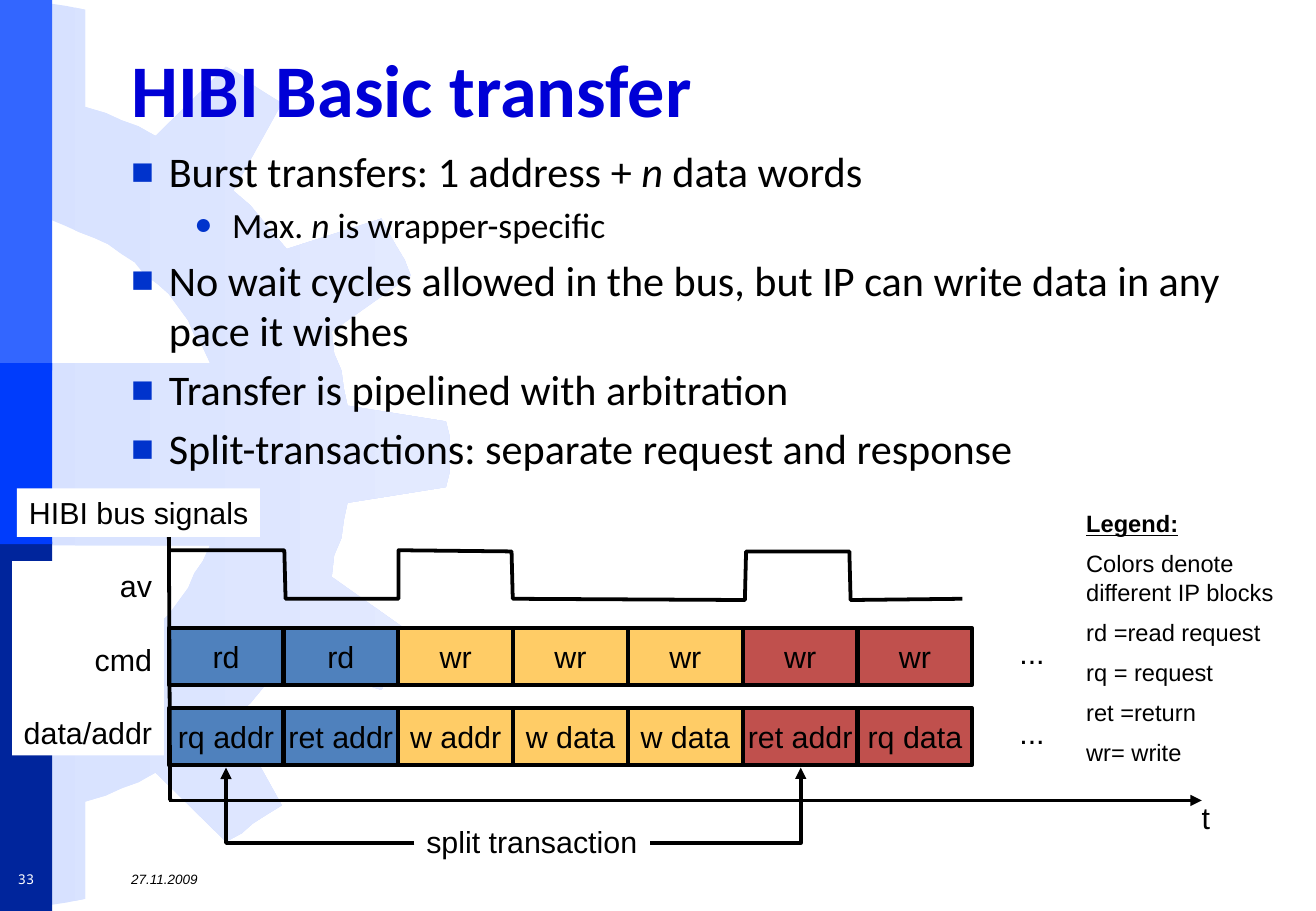
from lxml.etree import SubElement
from pptx import Presentation
from pptx.dml.color import RGBColor
from pptx.enum.shapes import MSO_CONNECTOR as Connector, MSO_SHAPE as Shape
from pptx.enum.text import MSO_ANCHOR as Anchor, MSO_AUTO_SIZE as AutoSize, PP_ALIGN as Align
from pptx.oxml.ns import qn
from pptx.util import Pt

PX = 9144  # 100 px to the inch
SANS, BODY_FONT = "Arial", "Calibri"
COLORS = {
    "black": "000000", "white": "FFFFFF", "title": "0000D6", "bullet": "0033CC",
    "gear_left": "D7E1FF", "gear_right": "E3EAFF",
    "band_top": "3366FF", "band_middle": "003CFC", "band_bottom": "00259C",
    "blue": "4F81BD", "yellow": "FFCC66", "red": "C0504D",
}
BANDS = [(0, 305, "band_top"), (446, 304, "band_bottom"), (299, 149, "band_middle")]
# Upper half of the gear, from the hub to the rightmost tooth
GEAR_HALF = [
    (0, 299), (173, 299), (167, 286), (160, 276), (155, 264), (147, 253), (139, 242),
    (130, 234), (119, 226), (111, 216), (100, 209), (89, 201), (78, 196), (65, 191),
    (54, 186), (42, 181), (28, 180), (14, 176), (14, 0), (29, 1), (42, 3), (55, 5),
    (70, 8), (70, 88), (87, 93), (100, 99), (114, 104), (128, 112), (186, 55), (199, 62),
    (208, 70), (219, 77), (232, 85), (192, 157), (206, 169), (215, 180), (225, 192),
    (236, 205), (314, 180), (320, 192), (327, 204), (333, 214), (338, 227), (273, 273),
    (275, 291), (281, 305), (283, 320), (286, 334), (367, 347), (370, 359), (370, 373),
]
GEAR_HEIGHT = 748
BULLETS = [
    (0, ["Burst transfers: 1 address + ", "n", " data words"]),
    (1, ["Max. ", "n", " is wrapper-specific"]),
    (0, ["No wait cycles allowed in the bus, but IP can write data in any pace it wishes"]),
    (0, ["Transfer is pipelined with arbitration"]),
    (0, ["Split-transactions: separate request and response"]),
]
# Per level: text size, left margin, bullet, bullet size, space before
LEVELS = [(25, 31, "■", "90000", 5), (21, 83, "●", "85000", 4)]
HANGING = 31
CYCLES = [
    ("rd", "rq addr", "blue"), ("rd", "ret addr", "blue"), ("wr", "w addr", "yellow"),
    ("wr", "w data", "yellow"), ("wr", "w data", "yellow"), ("wr", "ret addr", "red"),
    ("wr", "rq data", "red"),
]
CYCLES_LEFT, CYCLE_PITCH = 139, 94.5
CMD_TOP, DATA_TOP = 517, 583
AV_WAVE = [
    (140, 453), (234, 453), (235, 493), (328, 493), (328, 453), (421, 454),
    (422, 493), (613, 494), (614, 454), (699, 454), (700, 494), (792, 493),
]
LEGEND = ["Legend:", "Colors denote different IP blocks", "rd =read request",
          "rq = request", "ret =return", "wr= write"]


def color(name):
    return RGBColor.from_string(COLORS[name])


def scaled(*lengths):
    return [round(length * PX) for length in lengths]


def style(font, size, name=SANS, shade="black"):
    font.size, font.name = Pt(size), name
    font.color.rgb = color(shade)


def write(shape, lines, size=18, align=Align.LEFT, gap=0, anchor=Anchor.TOP,
          wrap=False, name=SANS, shade="black"):
    """Fill a shape with one paragraph per line, gap points apart."""
    frame = shape.text_frame
    frame.word_wrap, frame.vertical_anchor = wrap, anchor
    frame.text = "\n".join(lines)
    for index, para in enumerate(frame.paragraphs):
        para.alignment = align
        if index and gap:
            para.space_before = Pt(gap)
        for span in para.runs:
            style(span.font, size, name, shade)


def add_box(page, box, fill, outlined=False):
    shape = page.shapes.add_shape(Shape.RECTANGLE, *scaled(*box))
    shape.shadow.inherit = False
    shape.fill.solid()
    shape.fill.fore_color.rgb = color(fill)
    if outlined:
        ink(shape.line)
    else:
        shape.line.fill.background()
    return shape


def add_text(page, box, lines, **options):
    shape = page.shapes.add_textbox(*scaled(*box))
    write(shape, lines, **options)
    return shape


def add_label(page, box, text):
    """Add a one-line label whose box grows with its text."""
    label = add_text(page, box, [text])
    label.text_frame.auto_size = AutoSize.SHAPE_TO_FIT_TEXT


def ink(line):
    line.color.rgb = color("black")
    line.width = Pt(2.25)


def add_line(page, ends, arrow=False, bend=None):
    """Draw a line; bend holds the orientation attributes of a one-corner elbow."""
    connector = page.shapes.add_connector(Connector.STRAIGHT, *scaled(*ends))
    ink(connector.line)
    properties = connector._element.spPr
    SubElement(properties, qn("a:effectLst"))
    if arrow:
        SubElement(properties.find(qn("a:ln")), qn("a:tailEnd"), type="triangle")
    if bend:
        properties.find(qn("a:prstGeom")).set("prst", "bentConnector2")
        for key, value in bend.items():
            properties.find(qn("a:xfrm")).set(key, value)


def add_outline(page, points, close):
    builder = page.shapes.build_freeform(*points[0], scale=PX)
    builder.add_line_segments(points[1:], close=close)
    shape = builder.convert_to_shape()
    shape.shadow.inherit = False
    return shape


def add_backdrop(page):
    mirrored = [(x, GEAR_HEIGHT - y) for x, y in reversed(GEAR_HALF)]
    gear = add_outline(page, GEAR_HALF + mirrored, close=True)
    gear.line.fill.background()
    gear.fill.gradient()
    gear.fill.gradient_angle = 0
    for stop, name in zip(gear.fill.gradient_stops, ["gear_left", "gear_right"]):
        stop.color.rgb = color(name)
    for top, height, name in BANDS:
        add_box(page, (0, top, 43, height), name)


def place(page, holder, box):
    """Position a placeholder and bring it in front of the backdrop."""
    holder.left, holder.top, holder.width, holder.height = scaled(*box)
    page.shapes._spTree.append(holder._element)
    holder.text_frame.auto_size = AutoSize.NONE


def fill_title(page):
    title = page.shapes.title
    place(page, title, (98, 21, 939, 94))
    write(title, ["HIBI Basic transfer"], 44, anchor=Anchor.BOTTOM, wrap=True,
          name=BODY_FONT, shade="title")
    para = title.text_frame.paragraphs[0]
    para.line_spacing = 0.9
    para.runs[0].font.bold = True


def fill_body(page, body):
    place(page, body, (98, 115, 939, 311))
    frame = body.text_frame
    for index, (level, parts) in enumerate(BULLETS):
        para = frame.add_paragraph() if index else frame.paragraphs[0]
        size, margin, mark, mark_size, gap = LEVELS[level]
        para.level = level
        properties = para._p.get_or_add_pPr()
        properties.set("marL", str(margin * PX))
        properties.set("indent", str(-HANGING * PX))
        tint = SubElement(properties, qn("a:buClr"))
        SubElement(tint, qn("a:srgbClr"), val=COLORS["bullet"])
        SubElement(properties, qn("a:buSzPct"), val=mark_size)
        SubElement(properties, qn("a:buFont"), typeface=SANS)
        SubElement(properties, qn("a:buChar"), char=mark)
        para.space_before = Pt(gap if index else 0)
        for part in parts:
            span = para.add_run()
            span.text = part
            style(span.font, size, BODY_FONT)
            span.font.italic = part == "n"


def add_timing_diagram(page):
    write(add_box(page, (10, 462, 125, 160), "white"), ["av", "cmd", "data/addr"],
          align=Align.RIGHT, gap=22)
    add_line(page, (139, 659, 989, 659), arrow=True)
    add_label(page, (979, 653, 27, 40), "t")
    for index, (command, data, fill) in enumerate(CYCLES):
        left = CYCLES_LEFT + index * CYCLE_PITCH
        for top, label in [(CMD_TOP, command), (DATA_TOP, data)]:
            cell = add_box(page, (left, top, 94, 47), fill, outlined=True)
            write(cell, [label], align=Align.CENTER, anchor=Anchor.MIDDLE)
    for top in (CMD_TOP, DATA_TOP):
        add_label(page, (829, top, 41, 40), "...")
    add_line(page, (140, 659, 139, 442))
    wave = add_outline(page, AV_WAVE, close=False)
    wave.fill.background()
    ink(wave.line)
    add_label(page, (341, 673, 196, 40), "split transaction")
    add_line(page, (535, 632, 659, 694), arrow=True, bend={"flipV": "1"})
    add_line(page, (186, 632, 341, 694), arrow=True, bend={"rot": "10800000"})
    write(add_box(page, (14, 402, 200, 40), "white"), ["HIBI bus signals"])


def add_legend(page):
    legend = add_text(page, (884, 414, 198, 231), LEGEND, size=14, gap=7, wrap=True)
    heading = legend.text_frame.paragraphs[0].runs[0].font
    heading.bold = heading.underline = True


def add_footer(page):
    date = add_text(page, (98, 711, 939, 26), ["27.11.2009"], size=8,
                    anchor=Anchor.MIDDLE, wrap=True)
    date.text_frame.paragraphs[0].runs[0].font.italic = True
    add_text(page, (0, 711, 43, 26), ["33"], size=8, align=Align.CENTER,
             anchor=Anchor.MIDDLE, name="Noto Sans Mono", shade="white")


def main():
    deck = Presentation()
    deck.slide_width, deck.slide_height = scaled(1083, 750)
    page = deck.slides.add_slide(deck.slide_layouts[1])
    add_backdrop(page)
    fill_title(page)
    fill_body(page, page.placeholders[1])
    add_timing_diagram(page)
    add_legend(page)
    add_footer(page)
    deck.save("out.pptx")


if __name__ == "__main__":
    main()
